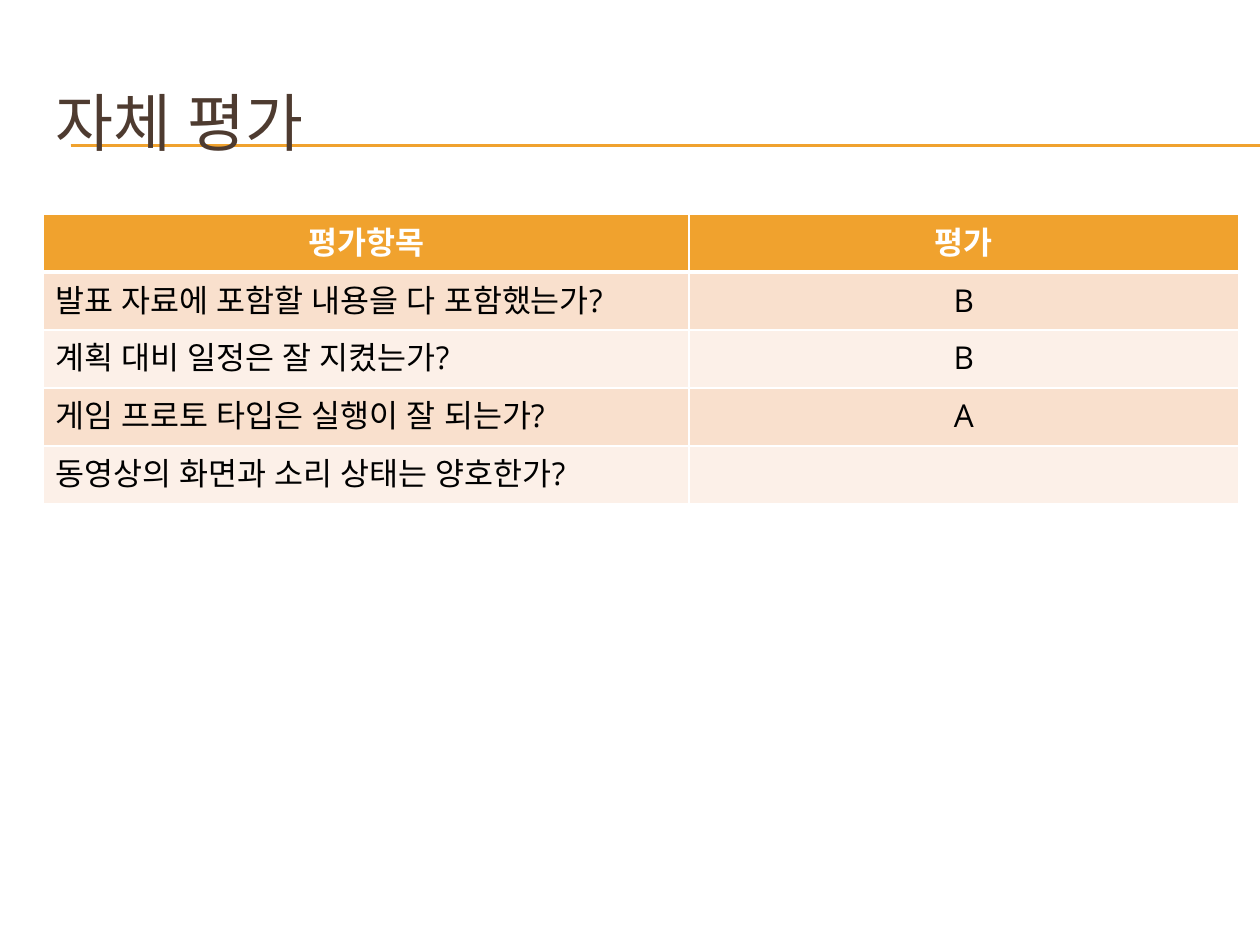
from lxml import etree
from pptx import Presentation, util as u
from pptx.dml.color import RGBColor
from pptx.enum import shapes, text
from pptx.oxml import parse_xml
from pptx.oxml.ns import nsdecls, qn

theme = {
    "font": "Open Sans", "title": 36, "body": 18,
    "brown": "4E3B30", "gold": "F0A22E", "white": "FFFFFF", "black": "000000",
    "bands": ["F9E0CD", "FCF0E8"],
}


def write(para, words, size, color, bold=False):
    """Add one styled run to a paragraph, with the font for Korean too."""
    run = para.add_run()
    run.text = words
    font = run.font
    font.name, font.size, font.bold = theme["font"], u.Pt(size), bold
    font.color.rgb = RGBColor.from_string(color)
    props = run._r.get_or_add_rPr()
    props.set("lang", "ko-KR")
    etree.SubElement(props, qn("a:ea"), typeface=theme["font"])


def edge(cell, bottom):
    """Give a cell white borders, with its own bottom width in points."""
    props = cell._tc.get_or_add_tcPr()
    for spot, side in enumerate("LRTB"):
        width = u.Pt(bottom if side == "B" else 1)
        props.insert(spot, parse_xml(
            f'<a:ln{side} {nsdecls("a")} w="{width}"><a:solidFill>'
            f'<a:srgbClr val="{theme["white"]}"/></a:solidFill></a:ln{side}>'))


deck = Presentation()
deck.slide_width, deck.slide_height = u.Inches(10), u.Inches(7.5)
slide = deck.slides.add_slide(deck.slide_layouts[6])

# Rules under the title
for y in (1.15, 1.15, 1.16):
    rule = slide.shapes.add_connector(
        shapes.MSO_CONNECTOR.STRAIGHT,
        u.Inches(0.56), u.Inches(y), u.Inches(10), u.Inches(y))
    rule.line.color.rgb = RGBColor.from_string(theme["gold"])
    rule.line.width = u.Pt(0.75)
    etree.SubElement(rule._element.spPr, qn("a:effectLst"))

# Title
left, wide = u.Inches(0.34), u.Inches(9.49)
title = slide.shapes.add_textbox(left, u.Inches(0.5), wide, u.Inches(0.92))
frame = title.text_frame
frame.word_wrap = True
frame.vertical_anchor = text.MSO_ANCHOR.MIDDLE
write(frame.paragraphs[0], "자체 평가", theme["title"], theme["brown"])

# Self-review table
rows = [
    ("평가항목", "평가"),
    ("발표 자료에 포함할 내용을 다 포함했는가?", "B"),
    ("계획 대비 일정은 잘 지켰는가?", "B"),
    ("게임 프로토 타입은 실행이 잘 되는가?", "A"),
    ("동영상의 화면과 소리 상태는 양호한가?", ""),
]
tall = u.Inches(0.46)
table = slide.shapes.add_table(
    len(rows), 2, left, u.Inches(1.7), wide, tall * len(rows)).table
for col, width in zip(table.columns, (5.13, 4.36)):
    col.width = u.Inches(width)

for i, row in enumerate(rows):
    head = i == 0
    fill = theme["gold"] if head else theme["bands"][(i - 1) % 2]
    color = theme["white"] if head else theme["black"]
    table.rows[i].height = tall
    for j, words in enumerate(row):
        cell = table.cell(i, j)
        cell.fill.solid()
        cell.fill.fore_color.rgb = RGBColor.from_string(fill)
        edge(cell, 3 if head else 1)
        para = cell.text_frame.paragraphs[0]
        if head or j:
            para.alignment = text.PP_ALIGN.CENTER
        if words:
            write(para, words, theme["body"], color, head)

deck.save("out.pptx")
